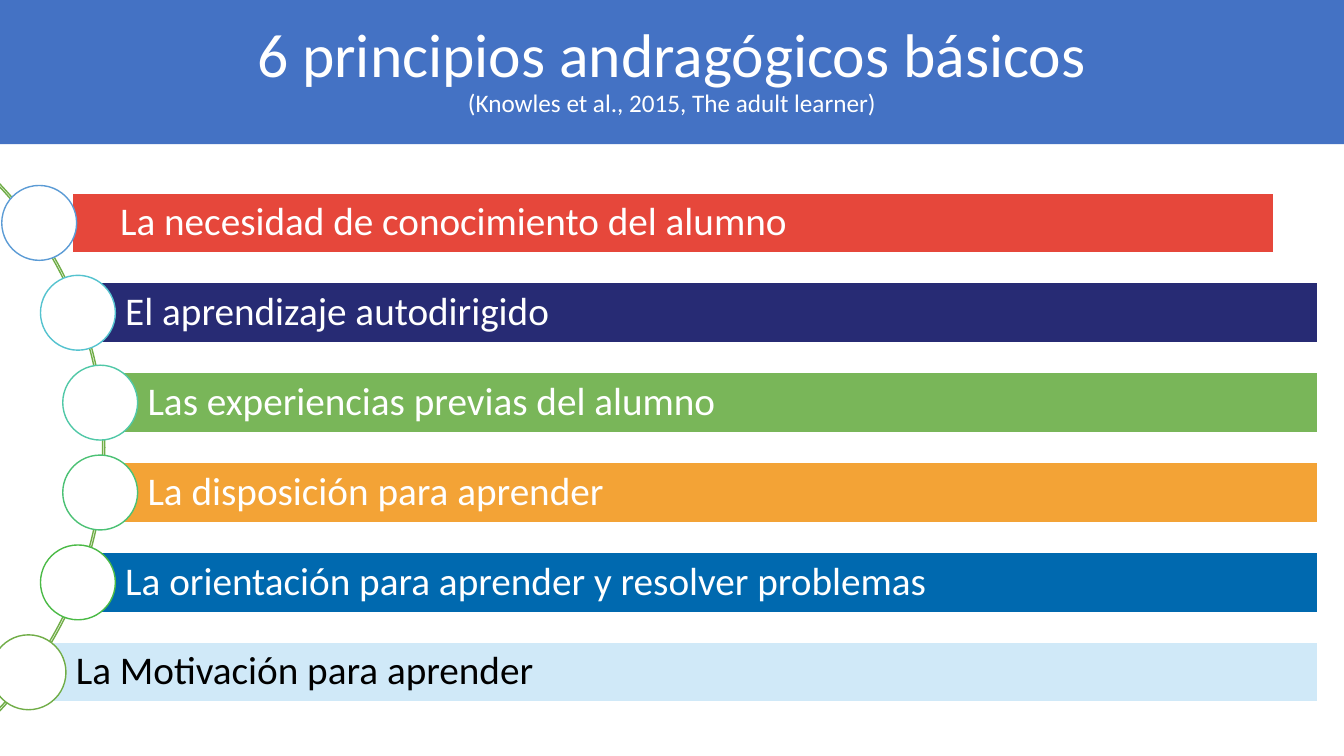
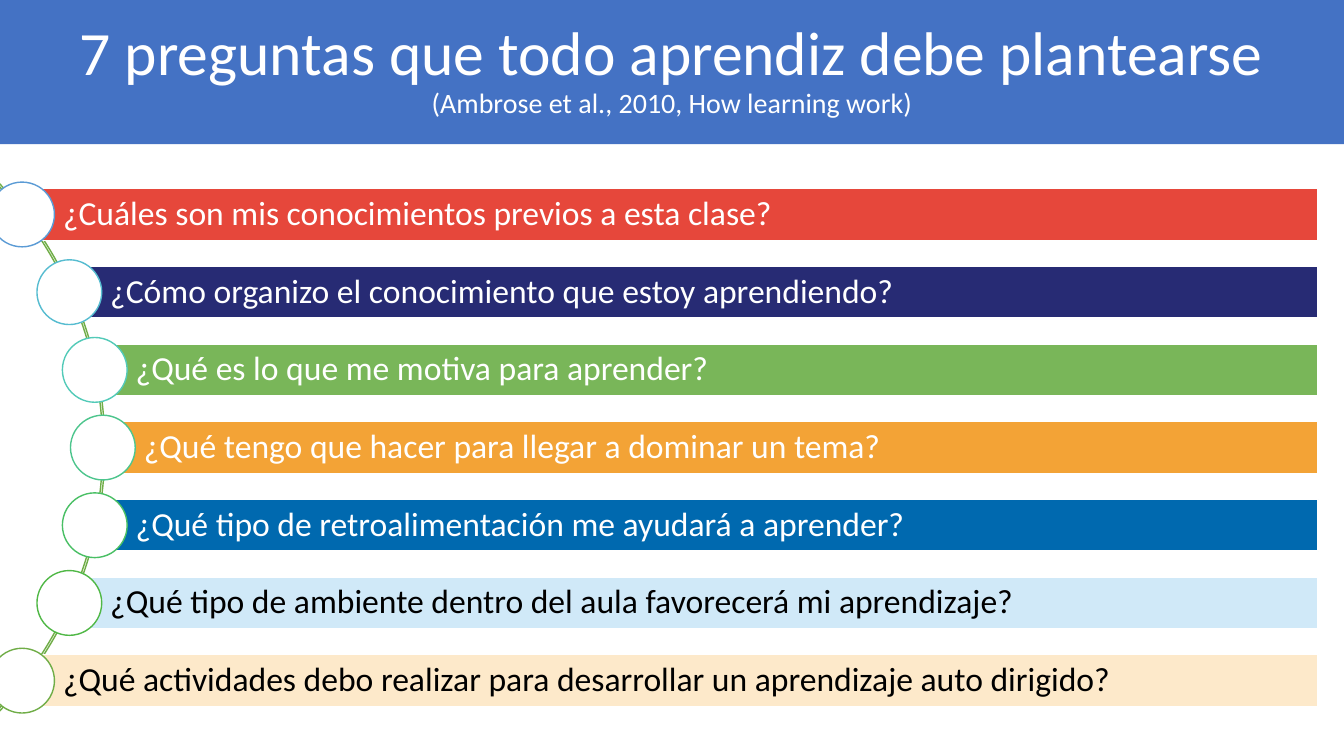
from math import sqrt

from pptx import Presentation
from pptx.dml.color import RGBColor
from pptx.enum.shapes import MSO_SHAPE
from pptx.enum.text import MSO_ANCHOR, MSO_AUTO_SIZE, PP_ALIGN
from pptx.util import Pt

PAGE_WIDTH, PAGE_HEIGHT = 960, 540
BAR_RIGHT = 941.5
FONT = "Calibri"
WHITE, BLACK = "FFFFFF", "000000"
BAND, CURVE = "4472C4", "70AD47"

# Bar fill and text colour of each row, from the top
BAR_STYLES = [
    ("E6473B", WHITE),
    ("272B74", WHITE),
    ("79B659", WHITE),
    ("F3A336", WHITE),
    ("0069AF", WHITE),
    ("D0E9F8", BLACK),
    ("FDE9CA", BLACK),
]

# The visible curve, and the circle on which the row markers are centred
CURVE_LEFT, CURVE_TOP, CURVE_SIZE = -472.3, 46, 547.2
ORBIT_X, ORBIT_Y, ORBIT_RADIUS = -195.5, 319.7, 269

PRINCIPLES = [
    ("La necesidad de conocimiento del alumno", "5B9BD5"),
    ("El aprendizaje autodirigido", "55C3CF"),
    ("Las experiencias previas del alumno", "50C8A7"),
    ("La disposición para aprender", "4BC174"),
    ("La orientación para aprender y resolver problemas", "4ABA46"),
    ("La Motivación para aprender", CURVE),
]
QUESTIONS = [
    ("¿Cuáles son mis conocimientos previos a esta clase?", "5B9BD5"),
    ("¿Cómo organizo el conocimiento que estoy aprendiendo?", "56BCD0"),
    ("¿Qué es lo que me motiva para aprender?", "52CAB8"),
    ("¿Qué tengo que hacer para llegar a dominar un tema?", "4DC58D"),
    ("¿Qué tipo de retroalimentación me ayudará a aprender?", "49BF64"),
    ("¿Qué tipo de ambiente dentro del aula favorecerá mi aprendizaje?", "50B846"),
    ("¿Qué actividades debo realizar para desarrollar un aprendizaje auto dirigido?", CURVE),
]


def color(value):
    return RGBColor.from_string(value)


class CurvedListDeck:
    def __init__(self):
        self.deck = Presentation()
        self.deck.slide_width = Pt(PAGE_WIDTH)
        self.deck.slide_height = Pt(PAGE_HEIGHT)
        self.page = None

    def add_page(self, title, source, source_size):
        self.page = self.deck.slides.add_slide(self.deck.slide_layouts[5])
        box = self.page.shapes.title
        box.left, box.top = Pt(0), Pt(-1.4)
        box.width, box.height = Pt(PAGE_WIDTH), Pt(104.4)
        box.fill.solid()
        box.fill.fore_color.rgb = color(BAND)
        frame = box.text_frame
        frame.auto_size = MSO_AUTO_SIZE.NONE
        frame.vertical_anchor = MSO_ANCHOR.MIDDLE
        para = frame.paragraphs[0]
        para.alignment = PP_ALIGN.CENTER
        para.line_spacing = 0.9
        self.add_span(para, title, 44, WHITE)
        para.add_line_break()
        self.add_span(para, source, source_size, WHITE)

    def add_span(self, para, text, size, text_color):
        span = para.add_run()
        span.text = text
        span.font.name = FONT
        span.font.size = Pt(size)
        span.font.color.rgb = color(text_color)

    def add_shape(self, kind, left, top, width, height, line, fill=None):
        shape = self.page.shapes.add_shape(kind, Pt(left), Pt(top), Pt(width), Pt(height))
        shape.shadow.inherit = False
        if fill:
            shape.fill.solid()
            shape.fill.fore_color.rgb = color(fill)
        else:
            shape.fill.background()
        shape.line.color.rgb = color(line)
        shape.line.width = Pt(1)
        return shape

    def add_curve(self):
        curve = self.add_shape(MSO_SHAPE.BLOCK_ARC, CURVE_LEFT, CURVE_TOP,
                               CURVE_SIZE, CURVE_SIZE, CURVE)
        # Start and end angles (315 and 45 degrees), then thickness
        for index, value in enumerate((189, 27, 0.0028)):
            curve.adjustments[index] = value

    def add_bar(self, text, left, right, middle, height, size, style):
        fill, text_color = style
        bar = self.add_shape(MSO_SHAPE.RECTANGLE, left, middle - height / 2,
                             right - left, height, WHITE, fill)
        frame = bar.text_frame
        frame.word_wrap = True
        frame.vertical_anchor = MSO_ANCHOR.MIDDLE
        frame.margin_left = Pt(height * 0.79)
        frame.margin_top = frame.margin_right = frame.margin_bottom = Pt(size / 5)
        para = frame.paragraphs[0]
        para.alignment = PP_ALIGN.LEFT
        para.line_spacing = 0.9
        self.add_span(para, text, size, text_color)

    def add_marker(self, center, middle, diameter, line):
        self.add_shape(MSO_SHAPE.OVAL, center - diameter / 2, middle - diameter / 2,
                       diameter, diameter, line, WHITE)

    def add_rows(self, rows, height, size, first_row=None):
        """Spread rows along the curve; first_row sets its marker centre, bar left and right."""
        self.add_curve()
        for index, ((text, line), style) in enumerate(zip(rows, BAR_STYLES)):
            offset = (index - (len(rows) - 1) / 2) * height * 1.5
            middle = ORBIT_Y + offset
            center = left = ORBIT_X + sqrt(ORBIT_RADIUS ** 2 - offset ** 2)
            right = BAR_RIGHT
            if index == 0 and first_row:
                center, left, right = first_row
            self.add_bar(text, left, right, middle, height, size, style)
            self.add_marker(center, middle, height * 1.25, line)


def main():
    slides = CurvedListDeck()
    slides.add_page("6 principios andragógicos básicos",
                    "(Knowles et al., 2015, The adult learner)", 18)
    slides.add_rows(PRINCIPLES, 42.8, 28, first_row=(28, 52, 909.5))
    slides.add_page("7 preguntas que todo aprendiz debe plantearse",
                    "(Ambrose et al., 2010, How learning work)", 20)
    slides.add_rows(QUESTIONS, 37, 24)
    slides.deck.save("out.pptx")


if __name__ == "__main__":
    main()
